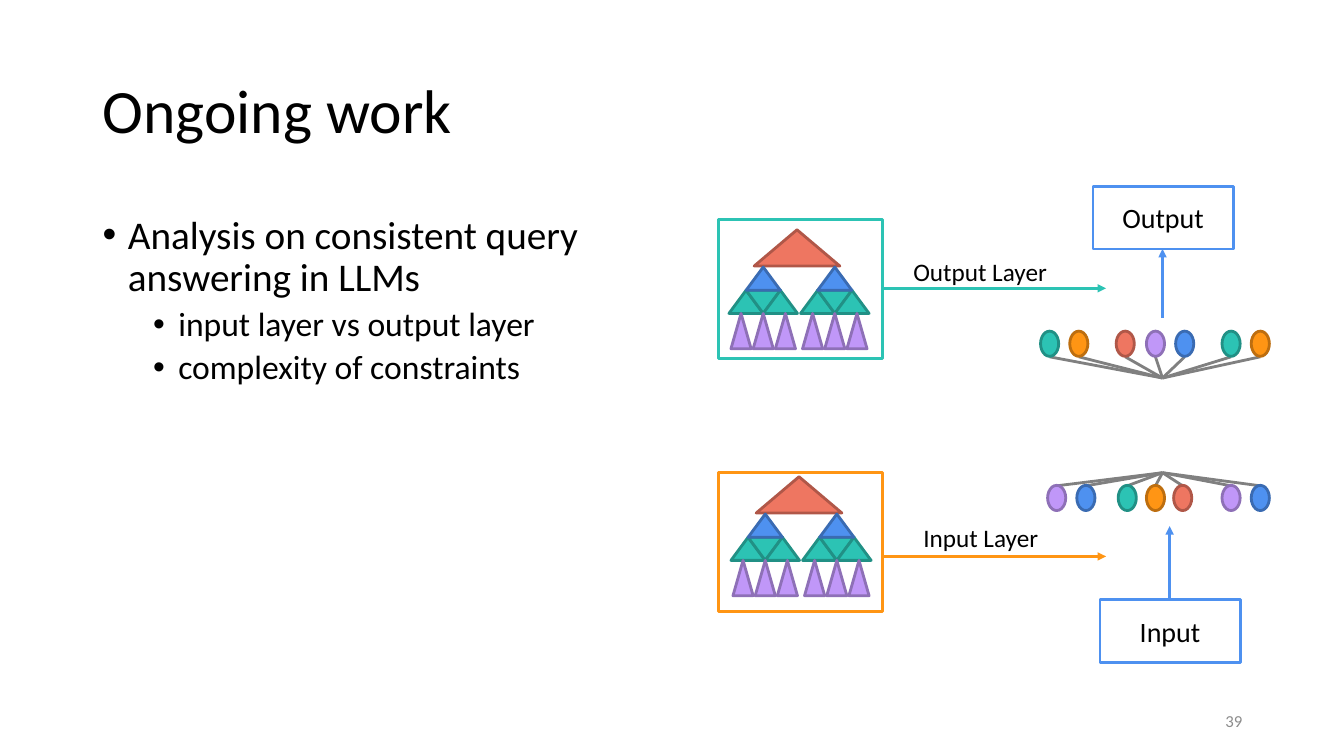
from dataclasses import dataclass

from lxml.etree import SubElement
from pptx import Presentation
from pptx.dml.color import RGBColor
from pptx.enum.shapes import MSO_CONNECTOR, MSO_SHAPE
from pptx.enum.text import MSO_ANCHOR, PP_ALIGN
from pptx.oxml.ns import qn
from pptx.util import Inches, Pt


@dataclass(frozen=True)
class Theme:
    font: str = "Calibri"
    text: str = "000000"
    muted: str = "8C8C8C"
    grey: str = "808080"
    teal: str = "2CC3B4"
    orange: str = "FF9514"
    red: str = "EE7661"
    purple: str = "C097F8"
    blue: str = "4E91F0"
    title_size: int = 44
    body_size: int = 28
    detail_size: int = 24
    box_size: int = 20
    label_size: int = 18
    number_size: int = 12
    stroke: int = 2


THEME = Theme()
OUTLINES = {
    THEME.teal: "219085",
    THEME.orange: "BD6E0F",
    THEME.red: "B05748",
    THEME.purple: "8E70B7",
    THEME.blue: "3A6BB2",
}


class Sketch:
    """Draws on one page; all positions are in inches."""

    def __init__(self, page, theme):
        self.page = page
        self.theme = theme
        self.shapes = page.shapes

    def open_group(self):
        self.shapes = self.page.shapes.add_group_shape().shapes

    def close_group(self):
        self.shapes = self.page.shapes

    def add_span(self, para, words, size, color=None):
        span = para.add_run()
        span.text = words
        span.font.name = self.theme.font
        span.font.size = Pt(size)
        span.font.color.rgb = RGBColor.from_string(color or self.theme.text)

    def text_box(self, left, top, width, height, anchor=MSO_ANCHOR.TOP):
        """Add an empty wrapping box and return its text frame."""
        box = self.shapes.add_textbox(
            Inches(left), Inches(top), Inches(width), Inches(height))
        box.text_frame.word_wrap = True
        box.text_frame.vertical_anchor = anchor
        return box.text_frame

    def bullets(self, frame, items):
        """Fill a frame with (level, words) items."""
        for index, (level, words) in enumerate(items):
            para = frame.add_paragraph() if index else frame.paragraphs[0]
            para.level = level
            para.line_spacing = 0.9
            if index:
                para.space_before = Pt(5)
            props = para._p.get_or_add_pPr()
            props.set("marL", str(Inches(0.25 + 0.5 * level)))
            props.set("indent", str(Inches(-0.25)))
            SubElement(props, qn("a:buFont")).set("typeface", "Arial")
            SubElement(props, qn("a:buChar")).set("char", "•")
            size = self.theme.detail_size if level else self.theme.body_size
            self.add_span(para, words, size)

    def shape(self, kind, left, top, width, height, fill=None, line=None):
        """Add a preset shape; a filled one gets the darker outline of its fill."""
        item = self.shapes.add_shape(
            kind, Inches(left), Inches(top), Inches(width), Inches(height))
        item.shadow.inherit = False
        if fill:
            item.fill.solid()
            item.fill.fore_color.rgb = RGBColor.from_string(fill)
        else:
            item.fill.background()
        item.line.color.rgb = RGBColor.from_string(line or OUTLINES[fill])
        item.line.width = Pt(self.theme.stroke)
        return item

    def named_box(self, left, top, words):
        box = self.shape(MSO_SHAPE.RECTANGLE, left, top, 1.39, 0.62,
                         line=self.theme.blue)
        box.text_frame.vertical_anchor = MSO_ANCHOR.MIDDLE
        para = box.text_frame.paragraphs[0]
        para.alignment = PP_ALIGN.CENTER
        self.add_span(para, words, self.theme.box_size)

    def line(self, start, end, color, arrow=False):
        link = self.shapes.add_connector(
            MSO_CONNECTOR.STRAIGHT, *(Inches(value) for value in (*start, *end)))
        link.line.color.rgb = RGBColor.from_string(color)
        link.line.width = Pt(self.theme.stroke)
        if arrow:
            SubElement(link.line._ln, qn("a:tailEnd")).set("type", "triangle")
        SubElement(link._element.spPr, qn("a:effectLst"))

    def token_fan(self, hub_y, edge_y, token_y, tokens):
        """Join a hub to a row of upright ovals given as (centre x, fill)."""
        hub = (11.53, hub_y)
        width, height = 0.18, 0.25
        self.open_group()
        for x, _ in tokens:
            self.line(hub, (x, edge_y), self.theme.grey)
        for x, fill in tokens:
            self.shape(MSO_SHAPE.OVAL, x - width / 2, token_y - height / 2,
                       width, height, fill)
        self.close_group()

    def pyramid(self, left, top):
        """Draw a red roof over two towers of blue, teal and purple triangles."""
        theme, triangle = self.theme, MSO_SHAPE.ISOSCELES_TRIANGLE
        width, height = 0.34, 0.23
        self.open_group()
        self.shape(triangle, left + 0.25, top, 0.85, 0.36, theme.red)
        for tower in (left, left + 0.71):
            for step in range(3):
                tile = self.shape(triangle, tower + step * width / 2, top + 0.6,
                                  width, height, theme.teal)
                tile.rotation = 180 * (step % 2)
            self.shape(triangle, tower + width / 2, top + 0.37,
                       width, height, theme.blue)
            for step in range(3):
                self.shape(triangle, tower + 0.02 + step * 0.22, top + 0.83,
                           0.2, 0.35, theme.purple)
        self.close_group()

    def layer(self, frame_top, pyramid_at, arrow_y, label_at, words, color):
        """Draw a framed pyramid with its labelled arrow."""
        self.line((8.76, arrow_y), (10.97, arrow_y), color, arrow=True)
        label = self.text_box(*label_at, 1.71, 0.4)
        self.add_span(label.paragraphs[0], words, self.theme.label_size)
        self.pyramid(*pyramid_at)
        self.shape(MSO_SHAPE.RECTANGLE, 7.13, frame_top, 1.62, 1.38, line=color)


def main():
    deck = Presentation()
    deck.slide_width, deck.slide_height = Inches(13.33), Inches(7.5)
    page = deck.slides.add_slide(deck.slide_layouts[6])
    theme = THEME
    sketch = Sketch(page, theme)

    title = sketch.text_box(0.92, 0.4, 11.5, 1.45, MSO_ANCHOR.MIDDLE).paragraphs[0]
    title.line_spacing = 0.9
    sketch.add_span(title, "Ongoing work", theme.title_size)

    number = sketch.text_box(9.42, 6.95, 3, 0.4, MSO_ANCHOR.MIDDLE).paragraphs[0]
    number.alignment = PP_ALIGN.RIGHT
    sketch.add_span(number, "39", theme.number_size, theme.muted)

    sketch.bullets(sketch.text_box(0.92, 2.09, 5.91, 4.22), [
        (0, "Analysis on consistent query answering in LLMs"),
        (1, "input layer vs output layer"),
        (1, "complexity of constraints"),
    ])

    output_colors = (theme.teal, theme.orange, theme.red, theme.purple,
                     theme.blue, theme.teal, theme.orange)
    output_centres = (10.41, 10.7, 11.16, 11.46, 11.75, 12.21, 12.5)
    sketch.token_fan(3.75, 3.54, 3.41, list(zip(output_centres, output_colors)))

    input_colors = (theme.purple, theme.blue, theme.teal, theme.orange,
                    theme.red, theme.purple, theme.blue)
    input_centres = (10.48, 10.77, 11.18, 11.46, 11.73, 12.21, 12.5)
    sketch.token_fan(4.69, 4.82, 4.94, list(zip(input_centres, input_colors)))

    sketch.named_box(10.84, 1.85, "Output")
    sketch.line((11.53, 3.15), (11.53, 2.47), theme.blue, arrow=True)
    sketch.named_box(10.91, 5.95, "Input")
    sketch.line((11.6, 5.95), (11.6, 5.22), theme.blue, arrow=True)

    sketch.layer(2.18, (7.23, 2.28), 2.86, (8.96, 2.49), "Output Layer", theme.teal)
    sketch.layer(4.69, (7.25, 4.73), 5.52, (9.06, 5.13), "Input Layer", theme.orange)

    deck.save("out.pptx")


if __name__ == "__main__":
    main()
